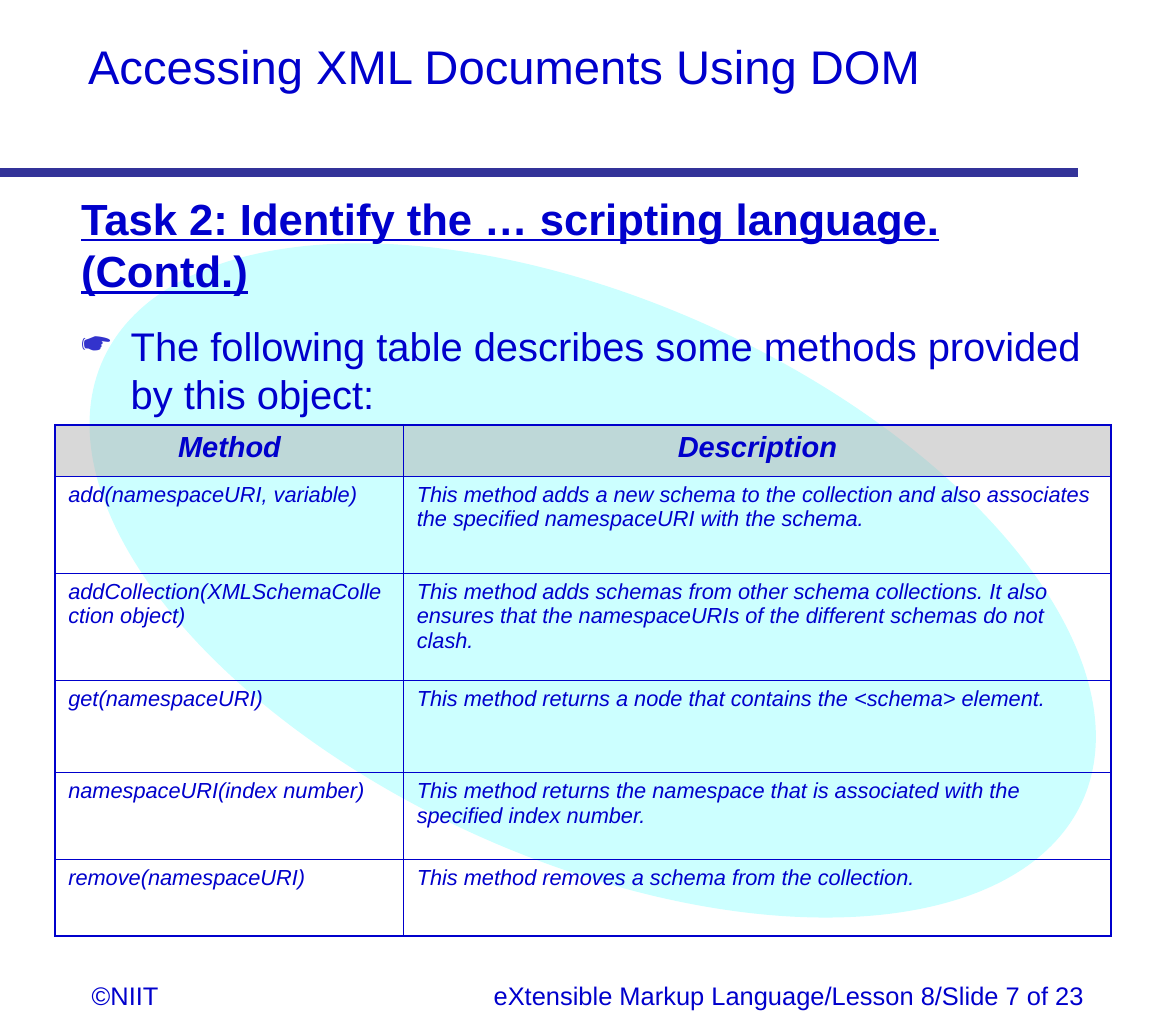
from dataclasses import dataclass

from lxml.etree import SubElement
from pptx import Presentation
from pptx.dml.color import RGBColor
from pptx.enum.shapes import MSO_CONNECTOR, MSO_SHAPE
from pptx.enum.text import PP_ALIGN
from pptx.oxml.ns import qn
from pptx.util import Inches, Pt


@dataclass(frozen=True)
class Theme:
    font: str = "Arial"
    ink: str = "0000CC"
    bullet: str = "3333CC"
    rule: str = "333399"
    oval: str = "CCFFFF"
    header: str = "B2B2B2"
    title_size: int = 26
    task_size: int = 24
    body_size: int = 22
    header_size: int = 16
    footer_size: int = 14
    cell_size: int = 12
    rule_width: float = 5
    outer_border: float = 1.08
    inner_border: float = 0.45


@dataclass(frozen=True)
class Box:
    x: int
    y: int
    w: int
    h: int

    def inner(self, x, y, w, h):
        """Return the box covering the given shares of this one."""
        return Box(int(self.x + x * self.w), int(self.y + y * self.h),
                   int(w * self.w), int(h * self.h))

    def bounds(self):
        return self.x, self.y, self.w, self.h


THEME = Theme()
HANG = Inches(0.38)

METHODS = [
    ("Method", "Description"),
    ("add(namespaceURI, variable)",
     "This method adds a new schema to the collection and also associates "
     "the specified namespaceURI with the schema."),
    ("addCollection(XMLSchemaCollection object)",
     "This method adds schemas from other schema collections. It also ensures "
     "that the namespaceURIs of the different schemas do not clash."),
    ("get(namespaceURI)",
     "This method returns a node that contains the <schema> element."),
    ("namespaceURI(index number)",
     "This method returns the namespace that is associated with the "
     "specified index number."),
    ("remove(namespaceURI)",
     "This method removes a schema from the collection."),
]
COLUMN_SHARES = (0.33, 0.67)
ROW_SHARES = (0.1, 0.19, 0.21, 0.18, 0.17, 0.15)


def rgb(color):
    return RGBColor.from_string(color)


def add_run(p, text, size, bold=False, italic=False, underline=False):
    r = p.add_run()
    r.text = text
    font = r.font
    font.name, font.size, font.color.rgb = THEME.font, Pt(size), rgb(THEME.ink)
    font.bold, font.italic, font.underline = bold, italic, underline


def add_text_frame(s, box):
    tf = s.shapes.add_textbox(*box.bounds()).text_frame
    tf.word_wrap = True
    return tf


def add_line_of_text(s, box, text, size, align=PP_ALIGN.LEFT):
    p = add_text_frame(s, box).paragraphs[0]
    p.alignment = align
    add_run(p, text, size)


def set_hanging_bullet(p, char):
    pPr = p._p.get_or_add_pPr()
    pPr.set("marL", str(HANG))
    pPr.set("indent", str(-HANG))
    color = SubElement(pPr, qn("a:buClr"))
    SubElement(color, qn("a:srgbClr"), val=THEME.bullet)
    SubElement(pPr, qn("a:buChar"), char=char)


def set_borders(cell, widths):
    """Draw the left, right, top and bottom borders, widths in points."""
    tcPr = cell._tc.get_or_add_tcPr()
    for i, (side, width) in enumerate(zip("LRTB", widths)):
        ln = SubElement(tcPr, qn(f"a:ln{side}"), w=str(Pt(width)))
        fill = SubElement(ln, qn("a:solidFill"))
        SubElement(fill, qn("a:srgbClr"), val=THEME.ink)
        tcPr.insert(i, ln)


def fill_header(cell):
    cell.fill.solid()
    cell.fill.fore_color.rgb = rgb(THEME.header)
    color = cell._tc.tcPr.find(".//" + qn("a:srgbClr"))
    SubElement(color, qn("a:alpha"), val="50000")


def draw_background(s, box):
    sp = s.shapes.add_shape(MSO_SHAPE.OVAL,
                            *box.inner(0.266, 0.042, 0.476, 1.042).bounds())
    sp.rotation = 294.2
    sp.shadow.inherit = False
    sp.fill.solid()
    sp.fill.fore_color.rgb = rgb(THEME.oval)
    sp.line.fill.background()


def draw_title(s, box):
    add_line_of_text(s, box.inner(0.064, 0.18, 0.867, 0.4),
                     "Accessing XML Documents Using DOM", THEME.title_size)
    y = box.y + box.h
    rule = s.shapes.add_connector(MSO_CONNECTOR.STRAIGHT, box.x, y,
                                  box.x + int(box.w * 0.917), y)
    rule.line.color.rgb = rgb(THEME.rule)
    rule.line.width = Pt(THEME.rule_width)
    SubElement(rule._element.spPr, qn("a:effectLst"))


def draw_body(s, box):
    tf = add_text_frame(s, box)
    task = ("Task 2: Identify the … scripting language.", "(Contd.)")
    for p, text in zip((tf.paragraphs[0], tf.add_paragraph()), task):
        add_run(p, text, THEME.task_size, bold=True, underline=True)
    p = tf.add_paragraph()
    set_hanging_bullet(p, "☛")
    p.space_before = Pt(13.8)
    add_run(p, "The following table describes some methods provided "
               "by this object:", THEME.body_size)


def draw_table(s, box):
    n_rows, n_cols = len(METHODS), len(COLUMN_SHARES)
    table = s.shapes.add_table(n_rows, n_cols, *box.bounds()).table
    table.first_row = table.horz_banding = False
    for column, share in zip(table.columns, COLUMN_SHARES):
        column.width = int(box.w * share)
    for row, share in zip(table.rows, ROW_SHARES):
        row.height = int(box.h * share)
    for i, texts in enumerate(METHODS):
        for j, text in enumerate(texts):
            cell = table.cell(i, j)
            p = cell.text_frame.paragraphs[0]
            if i == 0:
                fill_header(cell)
                p.alignment = PP_ALIGN.CENTER
            else:
                cell.fill.background()
            size = THEME.cell_size if i else THEME.header_size
            add_run(p, text, size, bold=i == 0, italic=True)
            on_edge = (j == 0, j == n_cols - 1, i == 0, i == n_rows - 1)
            set_borders(cell, [THEME.outer_border if edge
                               else THEME.inner_border for edge in on_edge])


def draw_footer(s, box):
    add_line_of_text(s, box.inner(0.067, 0, 0.124, 1), "©NIIT",
                     THEME.footer_size)
    add_line_of_text(s, box.inner(0.35, 0, 0.583, 1),
                     "eXtensible Markup Language/Lesson 8/Slide 7 of 23",
                     THEME.footer_size, PP_ALIGN.RIGHT)


def main():
    prs = Presentation()
    prs.slide_width, prs.slide_height = Inches(9), Inches(7.89)
    s = prs.slides.add_slide(prs.slide_layouts[6])
    page = Box(0, 0, prs.slide_width, prs.slide_height)
    draw_background(s, page)
    draw_title(s, page.inner(0, 0, 1, 0.167))
    draw_footer(s, page.inner(0, 0.944, 1, 0.043))
    draw_body(s, page.inner(0.058, 0.18, 0.883, 0.711))
    draw_table(s, page.inner(0.047, 0.412, 0.898, 0.496))
    prs.save("out.pptx")


if __name__ == "__main__":
    main()
